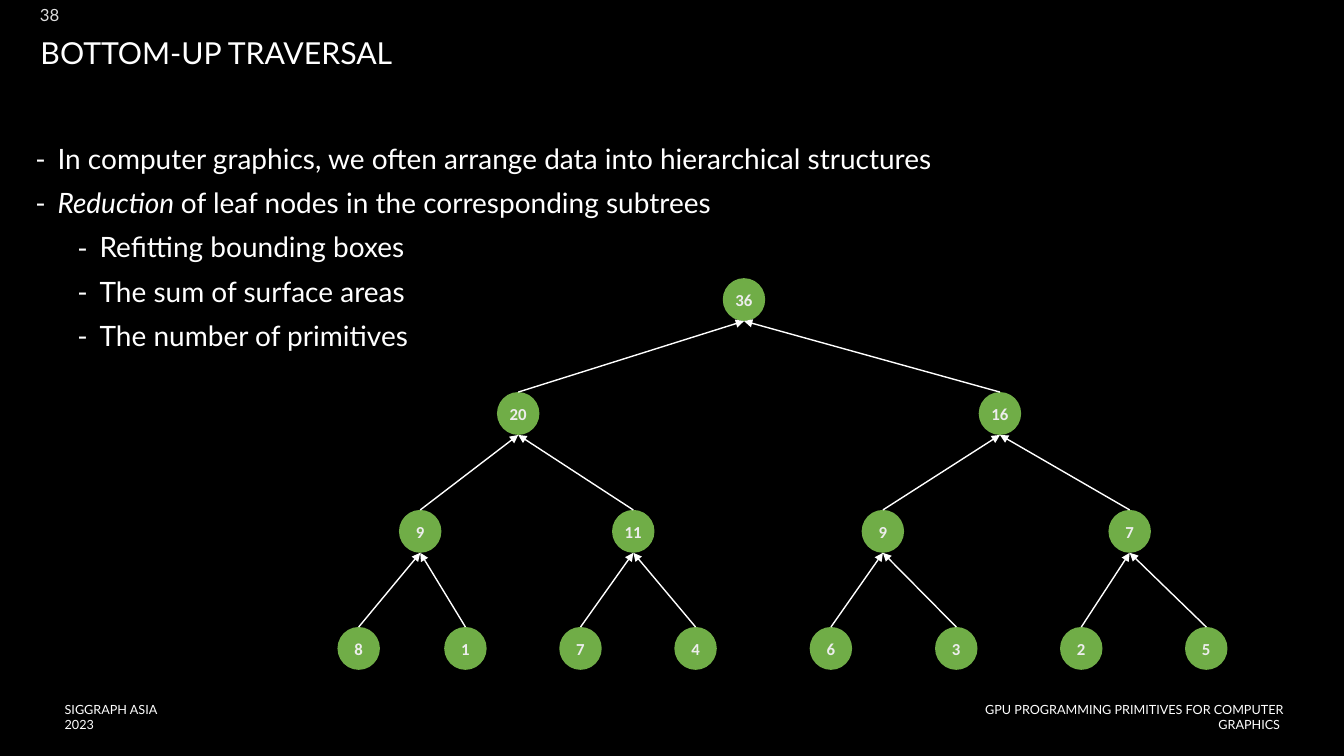
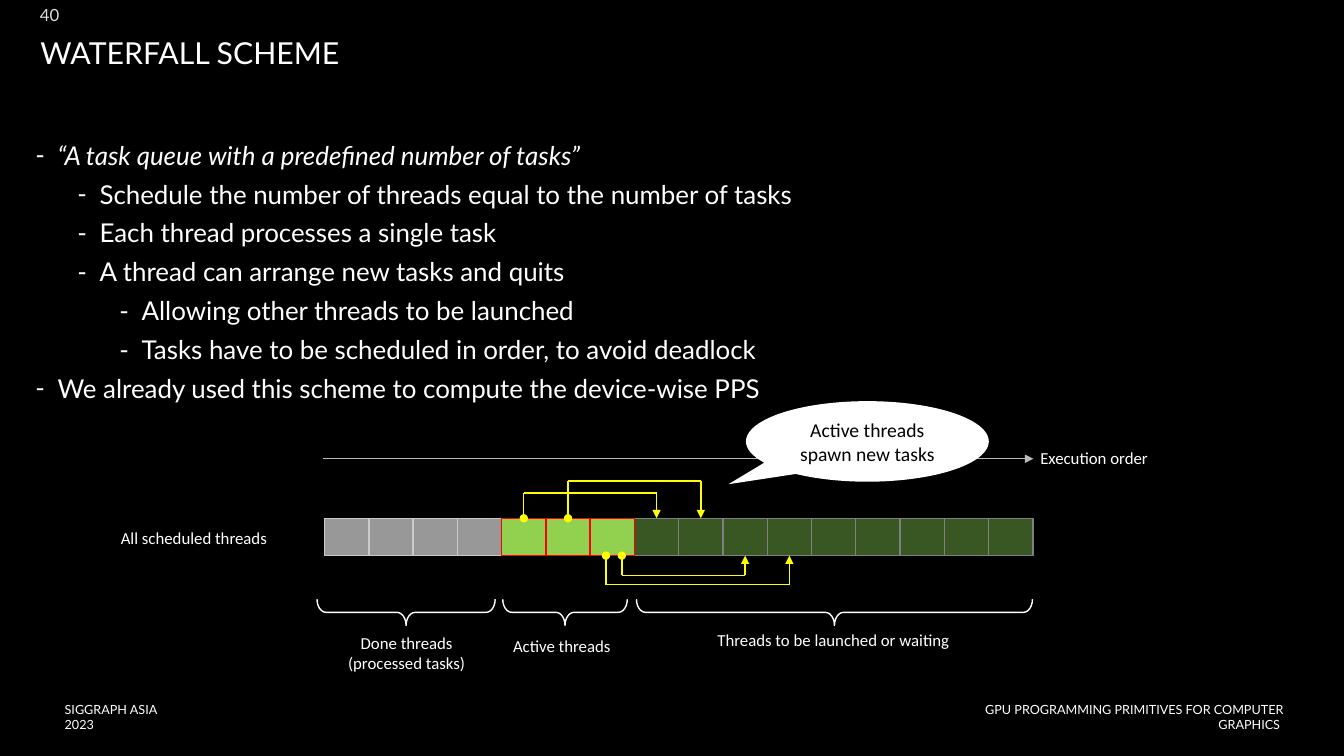
from dataclasses import dataclass
from itertools import pairwise

from lxml import etree
from pptx import Presentation
from pptx import util as u
from pptx.dml.color import RGBColor
from pptx.enum import shapes, text
from pptx.oxml.ns import qn

BLACK = RGBColor(0x00, 0x00, 0x00)
WHITE = RGBColor(0xFF, 0xFF, 0xFF)
NUMBER_GREY = RGBColor(0xDD, 0xDD, 0xDD)
AXIS_GREY = RGBColor(0xBA, 0xBA, 0xBA)
NODE_GREEN = RGBColor(0x70, 0xAD, 0x47)
NODE_TEXT = RGBColor(0xED, 0xED, 0xED)
DONE_FILL = RGBColor(0x98, 0x98, 0x98)
DONE_LINE = RGBColor(0xCA, 0xCA, 0xCA)
ACTIVE_FILL = RGBColor(0x92, 0xD0, 0x50)
ACTIVE_LINE = RGBColor(0xFF, 0x00, 0x00)
WAITING_FILL = RGBColor(0x38, 0x57, 0x23)
WAITING_LINE = RGBColor(0x80, 0x80, 0x80)
LINK_YELLOW = RGBColor(0xFF, 0xFF, 0x00)

HEADING_FONT = "Lato"
DIAGRAM_FONT = "Calibri"
LEFT, CENTER, RIGHT = text.PP_ALIGN.LEFT, text.PP_ALIGN.CENTER, text.PP_ALIGN.RIGHT
TOP, MIDDLE = text.MSO_ANCHOR.TOP, text.MSO_ANCHOR.MIDDLE
SIDE_TOP, SIDE_BOTTOM = 0, 2

# Tree, row by row from the root; all lengths in cm
LEAVES = [8, 1, 7, 4, 6, 3, 2, 5]
NODE_X = [18.75, 13.06, 25.2, 10.59, 15.96, 22.25, 28.47,
          9.04, 11.73, 14.63, 17.53, 20.94, 24.1, 27.25, 30.4]
ROW_TOPS = [7.01, 9.88, 12.85, 15.8]
NODE_W, NODE_H = 1.07, 1.08

# Row of threads
CELL_COUNT = 16
ROW_LEFT, ROW_RIGHT = 8.18, 26.03
ROW_TOP, CELL_H = 13.06, 0.94
CELL_W = (ROW_RIGHT - ROW_LEFT) / CELL_COUNT
BRACE_Y, BRACE_DEPTH = 15.43, 0.66


@dataclass(frozen=True)
class Area:
    left: float
    top: float
    width: float
    height: float

    def lengths(self) -> tuple[u.Length, ...]:
        return tuple(u.Cm(v) for v in (self.left, self.top, self.width, self.height))


@dataclass(frozen=True)
class Style:
    size: float
    color: RGBColor = WHITE
    font: str = DIAGRAM_FONT
    align: int = CENTER
    bold: bool = False


@dataclass(frozen=True)
class Bullet:
    words: str
    level: int = 0
    lead: str = ""  # italic opening words


@dataclass(frozen=True)
class ThreadGroup:
    first: int
    count: int
    fill: RGBColor
    line: RGBColor
    brace_left: float
    brace_right: float
    label: str
    label_area: Area


@dataclass(frozen=True)
class Link:
    source: int
    target: int
    side: int
    rail_y: float
    shift: float = 0  # offset of the start from the middle of its cell


LABEL = Style(12)

GROUPS = [
    ThreadGroup(0, 4, DONE_FILL, DONE_LINE, 7.99, 12.48,
                "Done threads\n(processed tasks)", Area(7.67, 15.82, 5.16, 1.27)),
    ThreadGroup(7, 9, WAITING_FILL, WAITING_LINE, 16.04, 26.02,
                "Threads to be launched or waiting", Area(17.65, 15.75, 6.71, 0.76)),
    ThreadGroup(4, 3, ACTIVE_FILL, ACTIVE_LINE, 12.67, 15.81,
                "Active threads", Area(11.58, 15.9, 5.16, 0.76)),
]

LINKS = [
    Link(4, 7, SIDE_TOP, 12.42),
    Link(5, 8, SIDE_TOP, 12.12),
    Link(6, 9, SIDE_BOTTOM, 14.5, 0.24),
    Link(6, 10, SIDE_BOTTOM, 14.73, -0.16),
]


def format_font(font, style: Style) -> None:
    font.name, font.size, font.bold = style.font, u.Pt(style.size), style.bold
    font.color.rgb = style.color


def prepare_frame(frame, anchor: int, inset: float) -> None:
    frame.word_wrap = True
    frame.auto_size = text.MSO_AUTO_SIZE.NONE
    frame.vertical_anchor = anchor
    frame.margin_left = frame.margin_right = u.Cm(inset)
    frame.margin_top = frame.margin_bottom = u.Cm(inset)


def write(shape, words: str, style: Style, anchor: int = TOP, inset: float = 0.13) -> None:
    prepare_frame(shape.text_frame, anchor, inset)
    shape.text_frame.text = words
    for para in shape.text_frame.paragraphs:
        para.alignment = style.align
        format_font(para.font, style)


def add_text(page, area: Area, words: str, style: Style,
             anchor: int = TOP, inset: float = 0.13) -> None:
    write(page.shapes.add_textbox(*area.lengths()), words, style, anchor, inset)


def add_figure(page, kind: int, area: Area, fill: RGBColor | None, line: RGBColor | None):
    figure = page.shapes.add_shape(kind, *area.lengths())
    figure.shadow.inherit = False
    if fill is None:
        figure.fill.background()
    else:
        figure.fill.solid()
        figure.fill.fore_color.rgb = fill
    if line is None:
        figure.line.fill.background()
    else:
        figure.line.color.rgb = line
        figure.line.width = u.Pt(1)
    return figure


def add_line(page, start: tuple[float, float], end: tuple[float, float],
             color: RGBColor, head: str = "none", tail: str = "none"):
    line = page.shapes.add_connector(
        shapes.MSO_CONNECTOR.STRAIGHT, *(u.Cm(v) for v in (*start, *end)))
    line.line.color.rgb = color
    line.line.width = u.Pt(1)
    properties = line._element.spPr
    outline = properties.find(qn("a:ln"))
    etree.SubElement(outline, qn("a:headEnd"), type=head)
    etree.SubElement(outline, qn("a:tailEnd"), type=tail)
    etree.SubElement(properties, qn("a:effectLst"))
    return line


def place(holder, area: Area) -> None:
    holder.left, holder.top, holder.width, holder.height = area.lengths()


def fill_list(body, bullets: list[Bullet], size: float, spacing: float) -> None:
    frame = body.text_frame
    prepare_frame(frame, TOP, 0.13)
    for index, bullet in enumerate(bullets):
        para = frame.add_paragraph() if index else frame.paragraphs[0]
        para.level = bullet.level
        properties = para._p.get_or_add_pPr()
        properties.set("marL", str(u.Cm(0.56 + 1.06 * bullet.level)))
        properties.set("indent", str(u.Cm(-0.56)))
        etree.SubElement(properties, qn("a:buFont"), typeface=HEADING_FONT)
        etree.SubElement(properties, qn("a:buChar"), char="-")
        para.alignment = LEFT
        para.line_spacing = spacing
        para.space_before = u.Pt(10 if index else 0)
        format_font(para.font, Style(size, font=HEADING_FONT))
        for words, italic in ((bullet.lead, True), (bullet.words, False)):
            if words:
                span = para.add_run()
                span.text = words
                span.font.italic = italic


def add_page(deck, number: int, title: str, bullets: list[Bullet],
             body_height: float, size: float, spacing: float):
    page = deck.slides.add_slide(deck.slide_layouts[1])
    place(page.shapes.title, Area(0.89, 0.84, 32.26, 1.07))
    write(page.shapes.title, title, Style(21.6, font=HEADING_FONT, align=LEFT), MIDDLE)
    page.shapes.title.text_frame.paragraphs[0].line_spacing = 0.9
    body = page.placeholders[1]
    place(body, Area(0.76, 3.53, 32.38, body_height))
    fill_list(body, bullets, size, spacing)
    # Page number and footers
    add_text(page, Area(0.99, 0.13, 0.51, 0.51), str(number),
             Style(12, NUMBER_GREY, HEADING_FONT, RIGHT), MIDDLE, 0)
    add_text(page, Area(1.63, 17.88, 2.74, 0.38), "SIGGRAPH ASIA 2023",
             Style(9, font=HEADING_FONT, align=LEFT), MIDDLE, 0)
    add_text(page, Area(24.31, 17.88, 8.03, 0.38),
             "GPU PROGRAMMING PRIMITIVES FOR COMPUTER GRAPHICS ",
             Style(9, font=HEADING_FONT, align=RIGHT), MIDDLE, 0)
    return page


def draw_tree(page) -> None:
    # Every inner node holds the sum of its two children
    inner = len(LEAVES) - 1
    values = [0] * inner + LEAVES
    for index in reversed(range(inner)):
        values[index] = values[2 * index + 1] + values[2 * index + 2]
    tops = [ROW_TOPS[(index + 1).bit_length() - 1] for index in range(len(values))]
    for index, (value, x, top) in enumerate(zip(values, NODE_X, tops)):
        node = add_figure(page, shapes.MSO_SHAPE.OVAL,
                          Area(x - NODE_W / 2, top, NODE_W, NODE_H), NODE_GREEN, None)
        write(node, str(value), Style(12, NODE_TEXT, bold=True), MIDDLE, 0)
        if index:
            parent = (index - 1) // 2
            add_line(page, (x, top), (NODE_X[parent], tops[parent] + NODE_H),
                     WHITE, tail="triangle")


def draw_group(page, group: ThreadGroup) -> dict:
    cells = {}
    for index in range(group.first, group.first + group.count):
        area = Area(ROW_LEFT + index * CELL_W, ROW_TOP, CELL_W, CELL_H)
        cells[index] = add_figure(page, shapes.MSO_SHAPE.RECTANGLE, area,
                                  group.fill, group.line)
    span = group.brace_right - group.brace_left
    middle = (group.brace_left + group.brace_right) / 2
    brace = add_figure(
        page, shapes.MSO_SHAPE.LEFT_BRACE,
        Area(middle - BRACE_DEPTH / 2, BRACE_Y - span / 2, BRACE_DEPTH, span), None, WHITE)
    brace.rotation = 270
    brace.adjustments[0] = 0.346
    add_text(page, group.label_area, group.label, LABEL)
    return cells


def draw_link(page, link: Link, cells: dict) -> None:
    edge = ROW_TOP if link.side == SIDE_TOP else ROW_TOP + CELL_H
    start_x = ROW_LEFT + (link.source + 0.5) * CELL_W + link.shift
    end_x = ROW_LEFT + (link.target + 0.5) * CELL_W
    corners = [(start_x, edge), (start_x, link.rail_y), (end_x, link.rail_y), (end_x, edge)]
    ends = [("oval", "none"), ("none", "none"), ("none", "triangle")]
    pieces = [add_line(page, a, b, LINK_YELLOW, *marks)
              for (a, b), marks in zip(pairwise(corners), ends)]
    if not link.shift:
        pieces[0].begin_connect(cells[link.source], link.side)
    pieces[-1].end_connect(cells[link.target], link.side)


def draw_waterfall(page) -> None:
    # Execution axis
    add_line(page, (8.15, 11.56), (26.04, 11.56), AXIS_GREY, tail="triangle")
    add_text(page, Area(25.86, 11.15, 3.43, 0.76), "Execution order", LABEL)
    # Threads with braces and captions
    add_text(page, Area(2.31, 13.16, 5.16, 0.76), "All scheduled threads", LABEL)
    cells = {}
    for group in GROUPS:
        cells.update(draw_group(page, group))
    # Spawned tasks
    for link in LINKS:
        draw_link(page, link, cells)
    callout = add_figure(page, shapes.MSO_SHAPE.OVAL_CALLOUT,
                         Area(18.8, 10.11, 6.12, 2.03), WHITE, None)
    callout.adjustments[0], callout.adjustments[1] = -0.572, 0.531
    write(callout, "Active threads spawn new tasks", Style(14, BLACK), MIDDLE)


def main() -> None:
    deck = Presentation()
    deck.slide_width, deck.slide_height = u.Cm(33.87), u.Cm(19.05)
    backdrop = deck.slide_master.background.fill
    backdrop.solid()
    backdrop.fore_color.rgb = BLACK

    draw_tree(add_page(deck, 38, "BOTTOM-UP TRAVERSAL", [
        Bullet("In computer graphics, we often arrange data into hierarchical structures"),
        Bullet("of leaf nodes in the corresponding subtrees", lead="Reduction "),
        Bullet("Refitting bounding boxes", 1),
        Bullet("The sum of surface areas", 1),
        Bullet("The number of primitives", 1),
    ], 5.64, 20, 0.9))

    draw_waterfall(add_page(deck, 40, "WATERFALL SCHEME", [
        Bullet("", lead="“A task queue with a predefined number of tasks”"),
        Bullet("Schedule the number of threads equal to the number of tasks", 1),
        Bullet("Each thread processes a single task", 1),
        Bullet("A thread can arrange new tasks and quits", 1),
        Bullet("Allowing other threads to be launched", 2),
        Bullet("Tasks have to be scheduled in order, to avoid deadlock", 2),
        Bullet("We already used this scheme to compute the device-wise PPS"),
    ], 7.06, 18.5, 0.8))

    deck.save("out.pptx")


if __name__ == "__main__":
    main()
